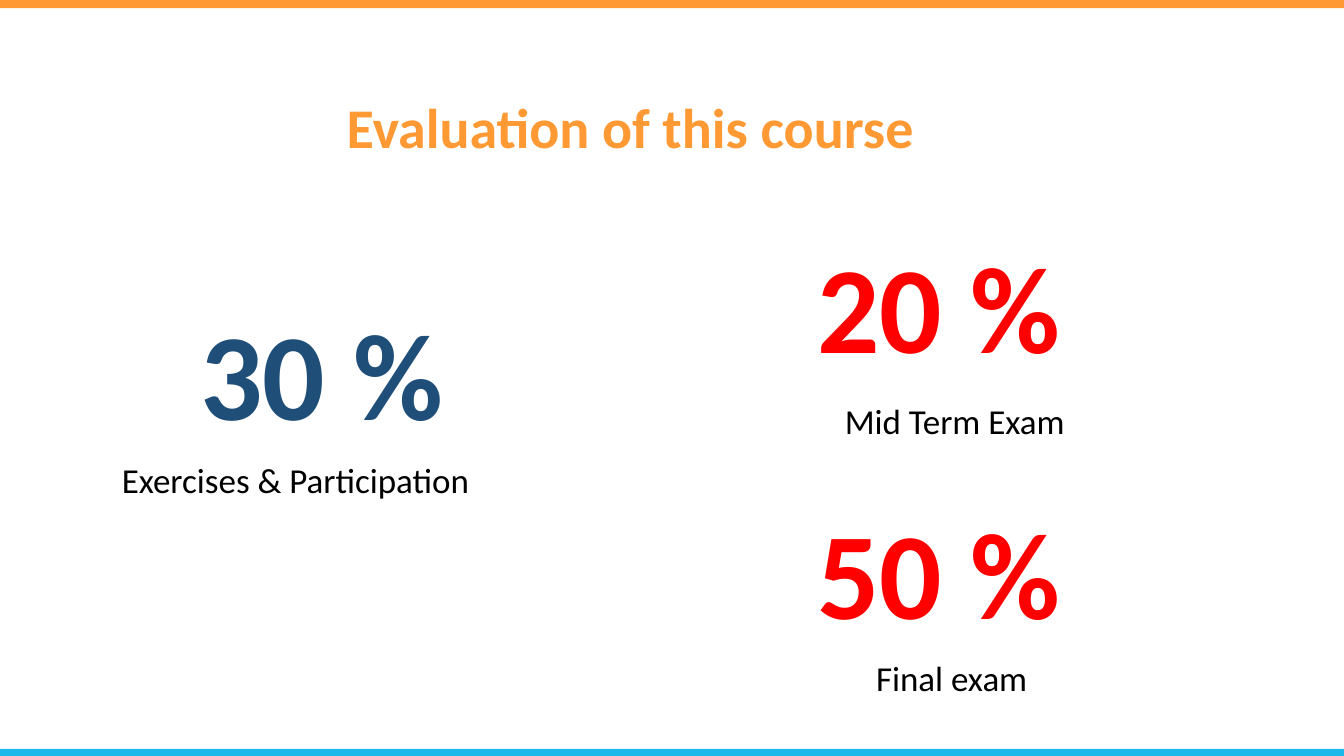
import pptx
import pptx.dml.color
import pptx.enum.shapes
import pptx.enum.text
import pptx.util

Inches = pptx.util.Inches

COLOURS = {
    "orange": "FF9933",
    "sky": "1BB9EA",
    "navy": "1F4E79",
    "red": "FF0000",
    "black": "000000",
}

# Font formats; the colour of a percentage is given per item
TITLE = {"name": "Calibri", "size": pptx.util.Pt(40), "bold": True}
PERCENTAGE = {"name": "Calibri", "size": pptx.util.Pt(88), "bold": True}
LABEL = {"name": "Calibri", "size": pptx.util.Pt(25), "bold": False}

SLIDE_WIDTH, SLIDE_HEIGHT = 13.33, 7.5

# Percentage, its colour, left and top; label, its left, top and width
GRADE_PARTS = [
    ("30 %", "navy", 1.89, 2.9, "Exercises & Participation", 1.11, 4.5, 3.75),
    ("20 %", "red", 8.01, 2.24, "Mid Term Exam", 8.28, 3.91, 2.85),
    ("50 %", "red", 8.01, 4.87, "Final exam", 8.59, 6.46, 2.22),
]


def rgb(colour):
    return pptx.dml.color.RGBColor.from_string(COLOURS[colour])


def add_bar(slide, top, height, colour):
    shape = slide.shapes.add_shape(
        pptx.enum.shapes.MSO_SHAPE.RECTANGLE,
        Inches(0), Inches(top), Inches(SLIDE_WIDTH), Inches(height),
    )
    shape.shadow.inherit = False
    shape.fill.solid()
    shape.fill.fore_color.rgb = rgb(colour)
    shape.line.fill.background()


def add_text(slide, text, box, font_format, colour, wrap=True):
    shape = slide.shapes.add_textbox(*(Inches(length) for length in box))
    frame = shape.text_frame
    frame.word_wrap = wrap
    frame.auto_size = pptx.enum.text.MSO_AUTO_SIZE.SHAPE_TO_FIT_TEXT
    run = frame.paragraphs[0].add_run()
    run.text = text
    for attribute, value in font_format.items():
        setattr(run.font, attribute, value)
    run.font.color.rgb = rgb(colour)


def add_grade_part(slide, percentage, colour, left, top,
                   label, label_left, label_top, label_width):
    add_text(slide, label, (label_left, label_top, label_width, 0.52), LABEL, "black")
    add_text(slide, percentage, (left, top, 3.59, 1.58), PERCENTAGE, colour)


def main():
    presentation = pptx.Presentation()
    presentation.slide_width = Inches(SLIDE_WIDTH)
    presentation.slide_height = Inches(SLIDE_HEIGHT)
    slide = presentation.slides.add_slide(presentation.slide_layouts[6])

    # Bars along the top and bottom edges
    add_bar(slide, 0, 0.08, "orange")
    add_bar(slide, SLIDE_HEIGHT - 0.07, 0.07, "sky")

    # Title
    add_text(slide, "Evaluation of this course", (3.34, 0.87, 5.89, 0.77),
             TITLE, "orange", wrap=False)

    # Parts of the final grade
    for grade_part in GRADE_PARTS:
        add_grade_part(slide, *grade_part)

    presentation.save("out.pptx")


if __name__ == "__main__":
    main()
